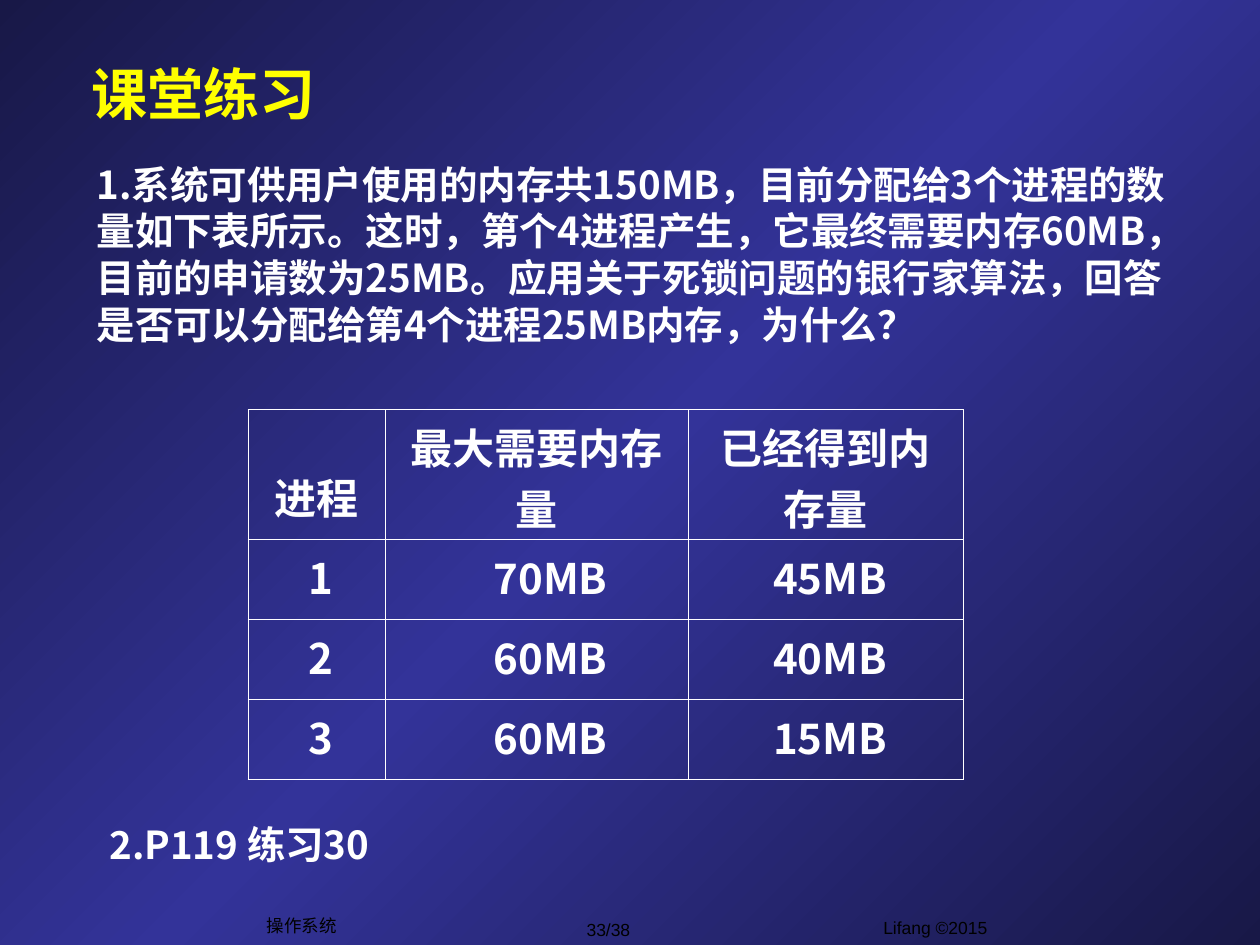
from lxml.etree import SubElement
from pptx import Presentation
from pptx.dml.color import RGBColor
from pptx.enum.text import MSO_ANCHOR as ANCHOR, PP_ALIGN as ALIGN
from pptx.oxml import parse_xml
from pptx.oxml.ns import nsdecls, qn
from pptx.util import Cm, Pt

WHITE = RGBColor(0xFF, 0xFF, 0xFF)
YELLOW = RGBColor(0xFF, 0xFF, 0x00)
BLACK = RGBColor(0x00, 0x00, 0x00)
NAVY = RGBColor(0x18, 0x18, 0x47)
INDIGO = RGBColor(0x33, 0x33, 0x99)
CJK = "Noto Sans CJK SC"

# Content
QUESTION = ("1.系统可供用户使用的内存共150MB，目前分配给3个进程的数量如下表所示。"
            "这时，第个4进程产生，它最终需要内存60MB，目前的申请数为25MB。"
            "应用关于死锁问题的银行家算法，回答是否可以分配给第4个进程25MB内存，为什么？")
TABLE = [
    ("进程", "最大需要内存量", "已经得到内存量"),
    ("1", "70MB", "45MB"),
    ("2", "60MB", "40MB"),
    ("3", "60MB", "15MB"),
]

# Formats
TITLE = {"size": Pt(32), "name": CJK, "bold": True}
BODY = {"size": Pt(22), "name": CJK, "bold": True}
CELL = {"size": Pt(24), "name": CJK, "bold": True}
FOOTER = {"size": Pt(10), "name": "Arial"}
MIDDLE = {"vertical_anchor": ANCHOR.MIDDLE, "word_wrap": True}
ONE_LINE = {"vertical_anchor": ANCHOR.MIDDLE, "word_wrap": False}
TOP = {"vertical_anchor": ANCHOR.TOP, "word_wrap": True}
LEFT = {"alignment": ALIGN.LEFT}
CENTER = {"alignment": ALIGN.CENTER}
TIGHT = {"alignment": ALIGN.LEFT, "line_spacing": Pt(26.6)}

# Text, place in cm (left, top, width, height), frame, paragraph, font, colour
TEXTS = [
    ("Lifang ©2015", (14.83, 18.36, 8.05, 0.89), TOP, CENTER, FOOTER, BLACK),
    ("33/38", (10.97, 18.39, 2.59, 0.69), ONE_LINE, CENTER, FOOTER, BLACK),
    ("操作系统", (5.13, 18.31, 1.91, 0.69), ONE_LINE, CENTER, FOOTER, BLACK),
    ("课堂练习", (1.6, 1.07, 21.59, 1.63), MIDDLE, LEFT, TITLE, YELLOW),
    (QUESTION, (1.7, 3.12, 22.45, 3.99), MIDDLE, TIGHT, BODY, WHITE),
    ("2.P119 练习30", (1.96, 16.41, 22.45, 1.19), MIDDLE, TIGHT, BODY, WHITE),
]

# Table measures in cm
TABLE_LEFT, TABLE_TOP = 5, 8.26
COLS = (2.77, 6.1, 5.54)
ROWS = (2.62, 1.61, 1.61, 1.61)
VALUE_INDENTS = (0.44, 0.81, 0.44)


def set_attrs(obj, values):
    for name, value in values.items():
        setattr(obj, name, value)


def write(tf, text, para, font, color):
    p = tf.paragraphs[0]
    set_attrs(p, para)
    r = p.add_run()
    r.text = text
    set_attrs(r.font, font)
    r.font.color.rgb = color
    if font["name"] == CJK:
        SubElement(r.font._element, qn("a:ea"), typeface=CJK)


def add_borders(cell):
    for side in ("L", "R", "T", "B"):
        cell._tc.get_or_add_tcPr().append(parse_xml(
            f'<a:ln{side} {nsdecls("a")} w="5715"><a:solidFill>'
            f'<a:srgbClr val="{WHITE}"/></a:solidFill></a:ln{side}>'))


def set_background(slide):
    stops = "".join(f'<a:gs pos="{pos}"><a:srgbClr val="{color}"/></a:gs>'
                    for pos, color in ((0, NAVY), (50000, INDIGO), (100000, NAVY)))
    slide._element.cSld.insert(0, parse_xml(
        f'<p:bg {nsdecls("p", "a")}><p:bgPr><a:gradFill rotWithShape="1">'
        f'<a:gsLst>{stops}</a:gsLst><a:lin ang="2700000" scaled="0"/>'
        f'</a:gradFill><a:effectLst/></p:bgPr></p:bg>'))


def add_memory_table(slide):
    table = slide.shapes.add_table(
        len(ROWS), len(COLS), Cm(TABLE_LEFT), Cm(TABLE_TOP),
        Cm(sum(COLS)), Cm(sum(ROWS))).table
    set_attrs(table, {"first_row": False, "horz_banding": False})
    for col, width in zip(table.columns, COLS):
        col.width = Cm(width)
    for i, (row, height) in enumerate(zip(table.rows, ROWS)):
        row.height = Cm(height)
        for cell, text, indent in zip(row.cells, TABLE[i], VALUE_INDENTS):
            add_borders(cell)
            cell.fill.background()
            if i:
                cell.margin_left = Cm(indent)
            write(cell.text_frame, text, CENTER, CELL, WHITE)
    # The short heading sits low in its tall cell
    set_attrs(table.cell(0, 0), {"vertical_anchor": ANCHOR.BOTTOM,
                                 "margin_bottom": Cm(0.26)})


def main():
    prs = Presentation()
    prs.slide_width, prs.slide_height = Cm(25.4), Cm(19.05)
    slide = prs.slides.add_slide(prs.slide_layouts[6])
    set_background(slide)
    for text, place, frame, para, font, color in TEXTS:
        tf = slide.shapes.add_textbox(*map(Cm, place)).text_frame
        set_attrs(tf, frame)
        write(tf, text, para, font, color)
    add_memory_table(slide)
    prs.save("out.pptx")


if __name__ == "__main__":
    main()
